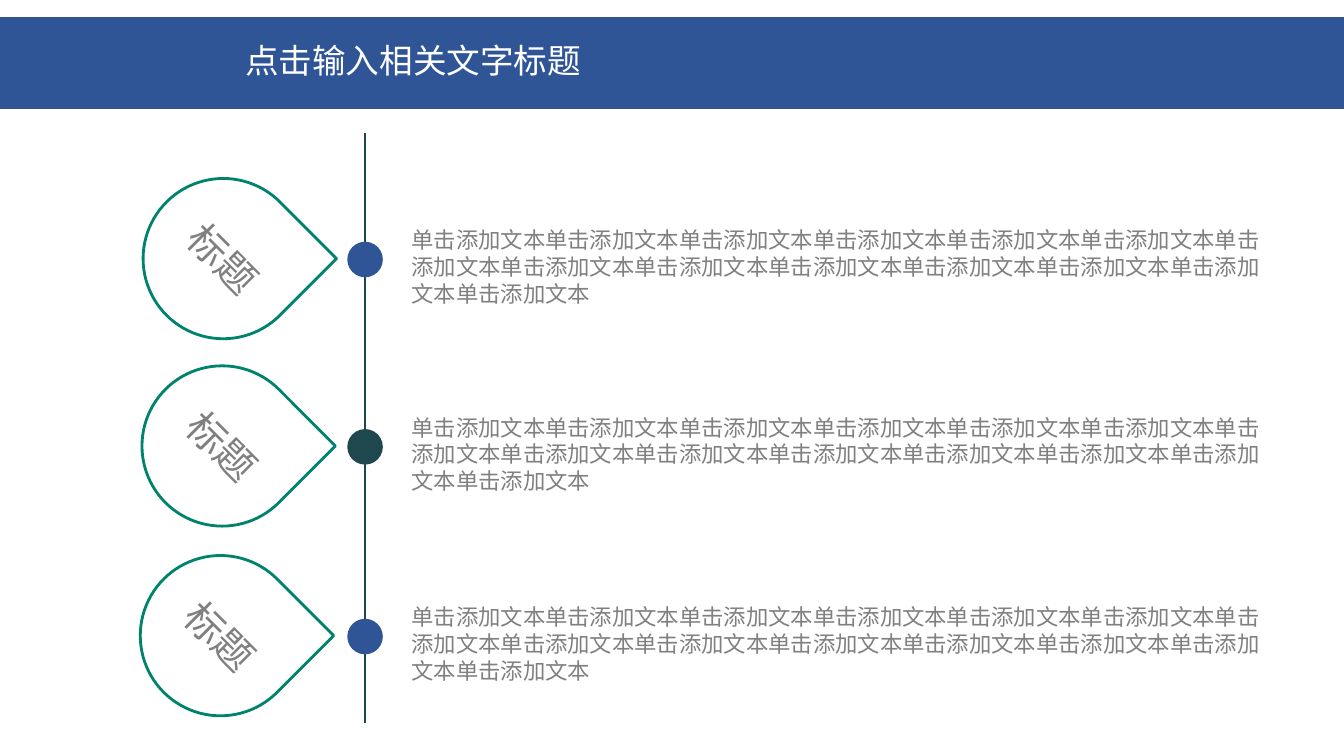
import pptx
import pptx.util
import pptx.dml.color
import pptx.enum.shapes
import pptx.enum.text
import pptx.oxml

Pt = pptx.util.Pt
SHAPE = pptx.enum.shapes.MSO_SHAPE
ALIGN = pptx.enum.text.PP_ALIGN
ANCHOR = pptx.enum.text.MSO_ANCHOR
FONT = "Noto Sans CJK SC"
BLUE, DARK, GREEN, GREY, WHITE = "2F5597", "1F474E", "00836D", "808080", "FFFFFF"
NS = 'xmlns:a="http://schemas.openxmlformats.org/drawingml/2006/main"'


def color(hex):
    return pptx.dml.color.RGBColor.from_string(hex)


def write(shape, text, size=16, hue=GREY, align=ALIGN.LEFT, anchor=ANCHOR.TOP, wrap=True):
    frame = shape.text_frame
    frame.word_wrap = wrap
    frame.vertical_anchor = anchor
    para = frame.paragraphs[0]
    para.alignment = align
    para.line_spacing = Pt(size * 1.2)
    run = para.add_run()
    run.text = text
    run.font.size = Pt(size)
    run.font.name = FONT
    run.font.color.rgb = color(hue)
    # Chinese text takes the East Asian typeface
    run.font._element.append(pptx.oxml.parse_xml(f'<a:ea {NS} typeface="{FONT}"/>'))


def draw(slide, kind, left, top, width, height, fill=None, line=None):
    shape = slide.shapes.add_shape(kind, Pt(left), Pt(top), Pt(width), Pt(height))
    shape.shadow.inherit = False
    if fill:
        shape.fill.solid()
        shape.fill.fore_color.rgb = color(fill)
    else:
        shape.fill.background()
    if line:
        shape.line.color.rgb = color(line)
        shape.line.width = Pt(2)
    else:
        shape.line.fill.background()
    return shape


def header(slide, left, top, width, height):
    draw(slide, SHAPE.RECTANGLE, left, top, width, height, fill=BLUE)
    title = draw(slide, SHAPE.RECTANGLE, left + 168, top + 12.5, 254.4, 36, fill=BLUE)
    write(title, "点击输入相关文字标题", size=24, hue=WHITE, wrap=False)


def axis(slide, x, top, height):
    line = slide.shapes.add_connector(
        pptx.enum.shapes.MSO_CONNECTOR.STRAIGHT, Pt(x), Pt(top), Pt(x), Pt(top + height))
    line.line.color.rgb = color(DARK)
    line.line.width = Pt(1)
    line._element.spPr.append(pptx.oxml.parse_xml(f"<a:effectLst {NS}/>"))


def entry(slide, left, top, hue, axis_x):
    # Dot on the axis
    dot = 25.4
    draw(slide, SHAPE.OVAL, axis_x - dot / 2, top + 45.2, dot, dot, fill=hue)
    # Drop pointing at the dot
    drop = draw(slide, SHAPE.TEAR, left, top, 114.5, 114.5, line=GREEN)
    drop.rotation = 45
    write(drop, "标题", size=28, align=ALIGN.CENTER, anchor=ANCHOR.MIDDLE)
    # Body text
    body = slide.shapes.add_textbox(Pt(axis_x + 26), Pt(top + 30.6), Pt(627), Pt(65.5))
    write(body, "单击添加文本" * 14)


def main():
    deck = pptx.Presentation()
    deck.slide_width, deck.slide_height = Pt(960), Pt(540)
    slide = deck.slides.add_slide(deck.slide_layouts[6])
    header(slide, 0, 12.2, 960, 65.6)
    axis_x = 260.8
    axis(slide, axis_x, 95, 421.2)
    for left, top, hue in ((102.2, 127.5, BLUE), (101.4, 261.3, DARK), (100.2, 396.8, BLUE)):
        entry(slide, left, top, hue, axis_x)
    deck.save("out.pptx")


if __name__ == "__main__":
    main()
